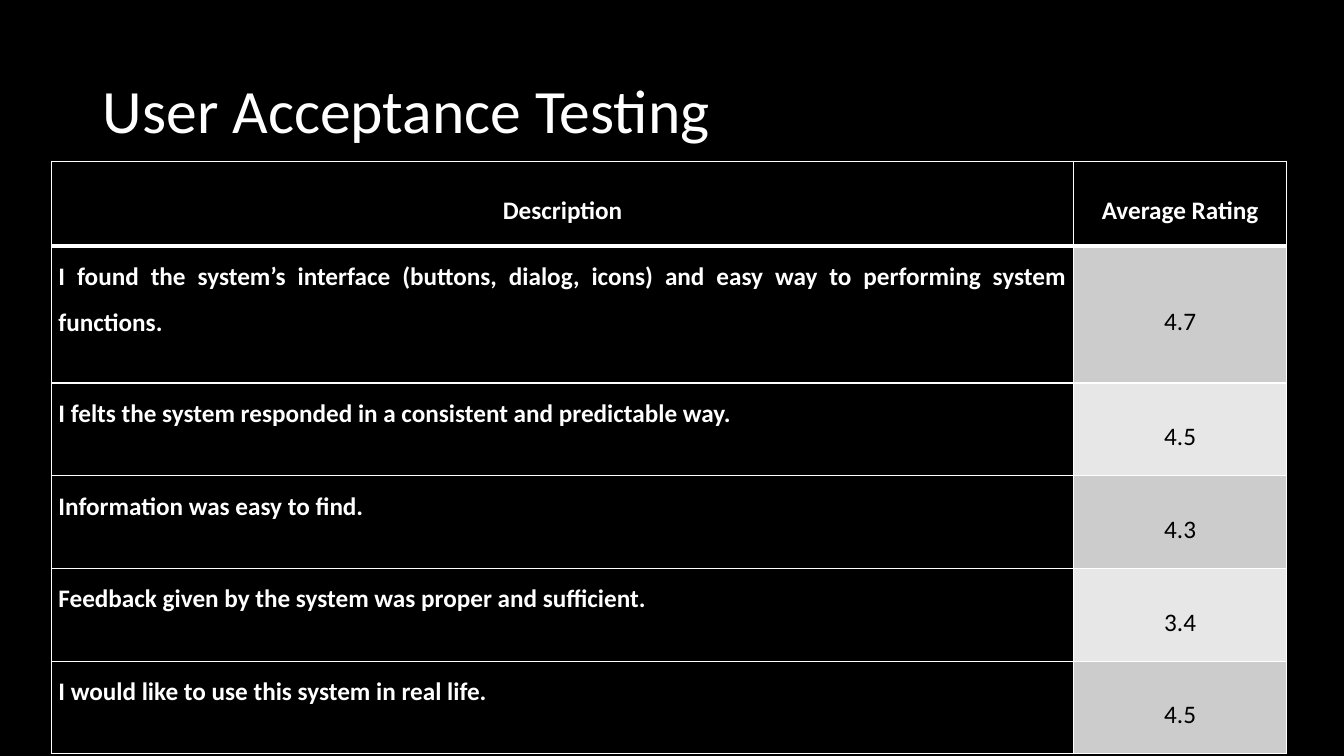
from lxml.etree import SubElement
from pptx import Presentation
from pptx.dml.color import RGBColor
from pptx.enum.text import MSO_ANCHOR, PP_ALIGN
from pptx.oxml.ns import qn
from pptx.util import Inches, Pt

COLOURS = {
    "black": "000000",
    "white": "FFFFFF",
    "odd_rating": "CCCCCC",
    "even_rating": "E7E7E7",
}
FONT = "Calibri"
HEADINGS = ("Description", "Average Rating")
RATINGS = [
    ("I found the system’s interface (buttons, dialog, icons) and easy way "
     "to performing system functions.", "4.7"),
    ("I felts the system responded in a consistent and predictable way.", "4.5"),
    ("Information was easy to find.", "4.3"),
    ("Feedback given by the system was proper and sufficient.", "3.4"),
    ("I would like to use this system in real life.", "4.5"),
]
COLUMN_WIDTHS = (10.14, 2.11)
ROW_HEIGHTS = (0.84, 1.36) + (0.92,) * 4
CELL_MARGINS = {
    "margin_left": Inches(0.07),
    "margin_right": Inches(0.07),
    "margin_top": 0,
    "margin_bottom": 0,
}


def colour(name):
    return RGBColor.from_string(COLOURS[name])


def set_attributes(target, values):
    for name, value in values.items():
        setattr(target, name, value)


def write_text(frame, text, ink, align, spacing, **font_format):
    frame.text = text
    statement = frame.paragraphs[0]
    set_attributes(statement, {"alignment": align, "line_spacing": spacing})
    font = statement.runs[0].font
    set_attributes(font, {"name": FONT, **font_format})
    font.color.rgb = colour(ink)


def add_borders(cell, widths):
    """Draw white borders; widths maps each side to points."""
    properties = cell._tc.get_or_add_tcPr()
    for index, (side, width) in enumerate(widths.items()):
        border = SubElement(properties, qn(f"a:ln{side}"), w=str(Pt(width)))
        fill = SubElement(border, qn("a:solidFill"))
        SubElement(fill, qn("a:srgbClr"), val=COLOURS["white"])
        properties.insert(index, border)


def format_cell(cell, text, row, fill, ink, align, anchor, bold):
    set_attributes(cell, {**CELL_MARGINS, "vertical_anchor": anchor})
    write_text(cell.text_frame, text, ink, align, 1.5, size=Pt(18), bold=bold)
    cell.fill.solid()
    cell.fill.fore_color.rgb = colour(fill)
    # The rule under the headings is thicker than the others
    add_borders(cell, {"L": 1, "R": 1, "T": 3 if row == 1 else 1,
                       "B": 3 if row == 0 else 1})


def add_title(slide):
    title = slide.shapes.title
    set_attributes(title, {"left": Inches(0.92), "top": Inches(0.4),
                           "width": Inches(11.5), "height": Inches(1.45)})
    title.text_frame.vertical_anchor = MSO_ANCHOR.MIDDLE
    write_text(title.text_frame, "User Acceptance Testing", "white",
               PP_ALIGN.LEFT, 0.9, size=Pt(44))


def add_ratings_table(slide):
    ratings = slide.shapes.add_table(
        len(RATINGS) + 1, len(HEADINGS), Inches(0.51), Inches(1.6),
        Inches(sum(COLUMN_WIDTHS)), Inches(sum(ROW_HEIGHTS))).table
    for column, width in zip(ratings.columns, COLUMN_WIDTHS):
        column.width = Inches(width)
    for row, height in zip(ratings.rows, ROW_HEIGHTS):
        row.height = Inches(height)

    # Headings
    for column, heading in enumerate(HEADINGS):
        format_cell(ratings.cell(0, column), heading, 0, "black", "white",
                    PP_ALIGN.CENTER, MSO_ANCHOR.MIDDLE, True)

    # Statements and their banded ratings
    for row, (statement, rating) in enumerate(RATINGS, start=1):
        format_cell(ratings.cell(row, 0), statement, row, "black", "white",
                    PP_ALIGN.JUSTIFY, MSO_ANCHOR.TOP, True)
        band = "odd_rating" if row % 2 else "even_rating"
        format_cell(ratings.cell(row, 1), rating, row, band, "black",
                    PP_ALIGN.CENTER, MSO_ANCHOR.MIDDLE, False)


def main():
    deck = Presentation()
    set_attributes(deck, {"slide_width": Inches(13.33),
                          "slide_height": Inches(7.5)})
    slide = deck.slides.add_slide(deck.slide_layouts.get_by_name("Title Only"))
    slide.background.fill.solid()
    slide.background.fill.fore_color.rgb = colour("black")
    add_title(slide)
    add_ratings_table(slide)
    deck.save("out.pptx")


if __name__ == "__main__":
    main()
